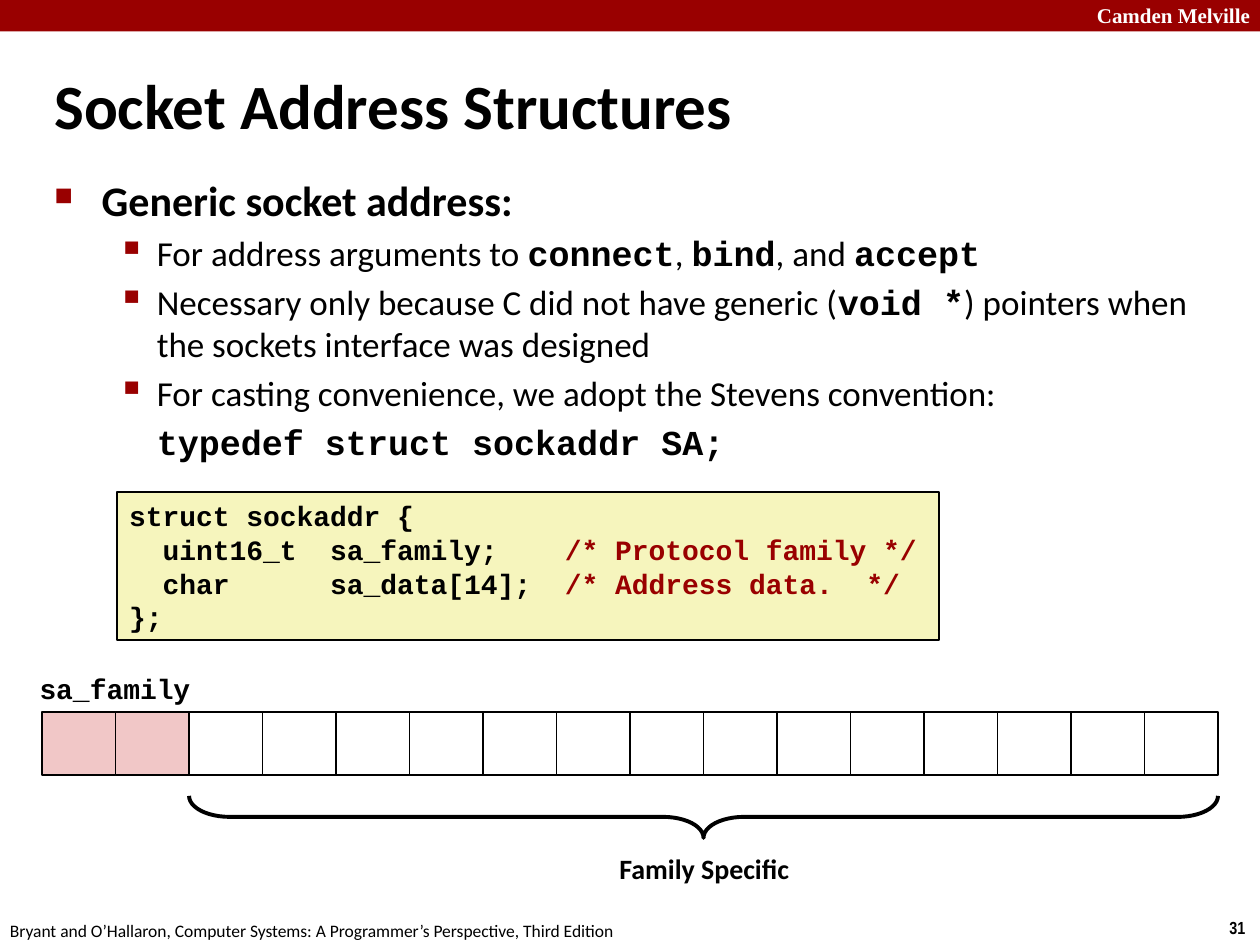
from lxml.etree import SubElement
from pptx import Presentation
from pptx.dml.color import RGBColor
from pptx.enum.shapes import MSO_SHAPE
from pptx.enum.text import MSO_ANCHOR, PP_ALIGN
from pptx.oxml.ns import qn
from pptx.util import Pt

COLORS = {
    "black": "000000",
    "white": "FFFFFF",
    "red": "990000",
    "cream": "F6F5BD",
    "pink": "F1C7C7",
}
SANS, MONO = "Calibri", "Courier New"
FIELD_LEFT, FIELD_TOP, BYTE_WIDTH, BYTE_HEIGHT = 24, 406.8, 42, 36
BYTE_COUNT, FAMILY_BYTES = 16, 2

BODY = [
    (0, [("Generic socket address:", SANS)]),
    (1, [("For address arguments to ", SANS), ("connect", MONO), (", ", SANS),
         ("bind", MONO), (", and ", SANS), ("accept", MONO)]),
    (1, [("Necessary only because C did not have generic (", SANS), ("void *", MONO),
         (") pointers when the sockets interface was designed", SANS)]),
    (1, [("For casting convenience, we adopt the Stevens convention:", SANS)]),
    (2, [("typedef struct sockaddr SA;", MONO)]),
]
LEVELS = [
    {"margin": 27, "indent": -27, "size": 24, "bullet": ("■", 60)},
    {"margin": 58.5, "indent": -22.5, "size": 20, "bullet": ("▪", 110)},
    {"margin": 58.5, "indent": 0, "size": 20, "bullet": None},
]
CODE = [
    ("struct sockaddr {", ""),
    ("  uint16_t  sa_family;    ", "/* Protocol family */"),
    ("  char      sa_data[14];  ", "/* Address data.  */"),
    ("};", ""),
]


def rgb(name):
    """Return the named colour."""
    return RGBColor.from_string(COLORS[name])


def style_run(run, font, size, color="black", bold=False):
    """Set the font of a run."""
    run.font.name = font
    run.font.size = Pt(size)
    run.font.bold = bold
    run.font.color.rgb = rgb(color)


def add_run(paragraph, text, *style):
    """Append a styled run to a paragraph."""
    run = paragraph.add_run()
    run.text = text
    style_run(run, *style)


def add_shape(slide, kind, box, fill=None, line=None):
    """Add a preset shape with optional fill and line width."""
    shape = slide.shapes.add_shape(kind, *map(Pt, box))
    shape.shadow.inherit = False
    if fill:
        shape.fill.solid()
        shape.fill.fore_color.rgb = rgb(fill)
    else:
        shape.fill.background()
    if line:
        shape.line.color.rgb = rgb("black")
        shape.line.width = Pt(line)
    else:
        shape.line.fill.background()
    return shape


def add_text_box(slide, box, wrap=True):
    """Add an empty text box and return its text frame."""
    text_frame = slide.shapes.add_textbox(*map(Pt, box)).text_frame
    text_frame.word_wrap = wrap
    return text_frame


def add_label(slide, box, text, font, size, color="black", bold=True,
              align=PP_ALIGN.LEFT, wrap=False):
    """Add a single-style line of text."""
    text_frame = add_text_box(slide, box, wrap)
    text_frame.vertical_anchor = MSO_ANCHOR.MIDDLE
    text_frame.text = text
    paragraph = text_frame.paragraphs[0]
    paragraph.alignment = align
    style_run(paragraph.runs[0], font, size, color, bold)


def format_level(paragraph, margin, indent, size, bullet):
    """Set indents, spacing and bullet of a body paragraph."""
    paragraph.space_before = Pt(size * 0.2)
    properties = paragraph._p.get_or_add_pPr()
    properties.set("marL", str(Pt(margin)))
    properties.set("indent", str(Pt(indent)))
    if bullet:
        character, percent = bullet
        color = SubElement(properties, qn("a:buClr"))
        SubElement(color, qn("a:srgbClr"), val=COLORS["red"])
        SubElement(properties, qn("a:buSzPct"), val=str(percent * 1000))
        SubElement(properties, qn("a:buChar"), char=character)


def add_body(slide):
    """Add the bulleted explanation."""
    text_frame = add_text_box(slide, (24, 96, 686, 180))
    for index, (level, pieces) in enumerate(BODY):
        paragraph = text_frame.add_paragraph() if index else text_frame.paragraphs[0]
        format_level(paragraph, **LEVELS[level])
        for text, font in pieces:
            bold = level == 0 or font == MONO
            add_run(paragraph, text, font, LEVELS[level]["size"], "black", bold)


def add_code(slide):
    """Add the framed structure declaration."""
    shape = add_shape(slide, MSO_SHAPE.RECTANGLE, (66.7, 281.2, 470, 84.6), "cream", 1)
    text_frame = shape.text_frame
    text_frame.word_wrap = False
    text_frame.vertical_anchor = MSO_ANCHOR.MIDDLE
    for index, (code, comment) in enumerate(CODE):
        paragraph = text_frame.add_paragraph() if index else text_frame.paragraphs[0]
        paragraph.alignment = PP_ALIGN.LEFT
        add_run(paragraph, code, MONO, 16, "black", True)
        if comment:
            add_run(paragraph, comment, MONO, 16, "red", True)


def add_byte_field(slide):
    """Add the row of address bytes with its brace."""
    for index in range(BYTE_COUNT):
        left = FIELD_LEFT + index * BYTE_WIDTH
        fill = "pink" if index < FAMILY_BYTES else None
        add_shape(slide, MSO_SHAPE.RECTANGLE,
                  (left, FIELD_TOP, BYTE_WIDTH, BYTE_HEIGHT), fill, 1)
    span = (BYTE_COUNT - FAMILY_BYTES) * BYTE_WIDTH
    depth = 24
    center_x = FIELD_LEFT + FAMILY_BYTES * BYTE_WIDTH + span / 2
    center_y = FIELD_TOP + BYTE_HEIGHT + 24
    brace = add_shape(slide, MSO_SHAPE.RIGHT_BRACE,
                      (center_x - depth / 2, center_y - span / 2, depth, span), None, 2.25)
    brace.adjustments[0] = 0.96
    brace.adjustments[1] = 0.5
    brace.rotation = 90


def main():
    """Build and save the slide."""
    presentation = Presentation()
    presentation.slide_width, presentation.slide_height = Pt(720), Pt(540)
    slide = presentation.slides.add_slide(presentation.slide_layouts[6])
    add_shape(slide, MSO_SHAPE.RECTANGLE, (0, 0, 720, 18), "red")
    add_label(slide, (612, -2, 109.5, 21.6), "Camden Melville", "Times New Roman", 12,
              "white", align=PP_ALIGN.RIGHT, wrap=True)
    add_label(slide, (695.5, 520.5, 24.5, 19.4), "31", "Arial Narrow", 10)
    add_label(slide, (-1.4, 522, 366, 19.4),
              "Bryant and O’Hallaron, Computer Systems: A Programmer’s Perspective, Third Edition",
              SANS, 10, bold=False)
    add_label(slide, (24, 29, 686, 61), "Socket Address Structures", SANS, 36, wrap=True)
    add_body(slide)
    add_code(slide)
    add_byte_field(slide)
    add_label(slide, (15.2, 380.2, 101, 26.6), "sa_family", MONO, 16, align=PP_ALIGN.CENTER)
    add_label(slide, (346, 483, 113, 26.6), "Family Specific", SANS, 16,
              align=PP_ALIGN.CENTER)
    presentation.save("out.pptx")


if __name__ == "__main__":
    main()
